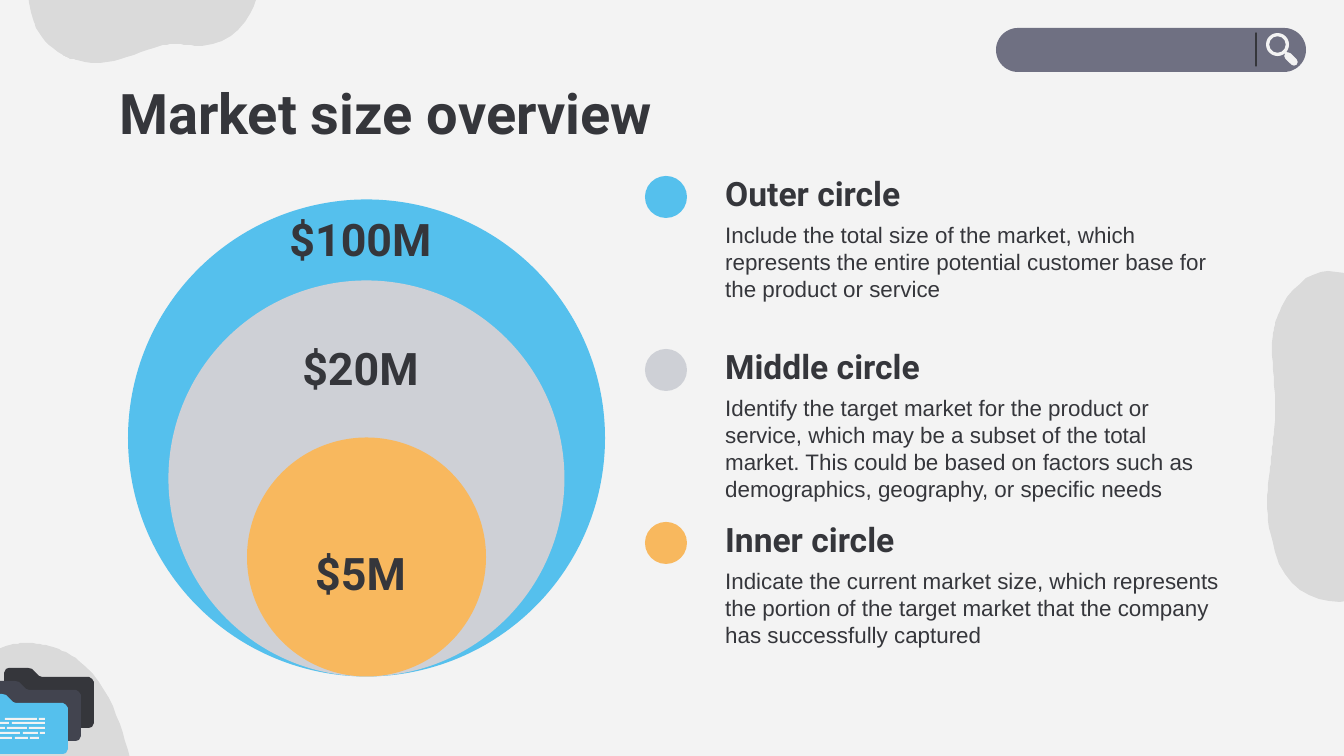
import pptx
import pptx.util
import pptx.dml.color
import pptx.enum.shapes
import pptx.enum.text
import pptx.oxml.ns
import lxml.etree

PX = 9144000 / 1344  # EMU per px
SHAPE = pptx.enum.shapes.MSO_SHAPE
ALIGN = pptx.enum.text.PP_ALIGN
ANCHOR = pptx.enum.text.MSO_ANCHOR
COLOURS = {
    "background": "F3F3F3", "ink": "35363B", "slate": "42444F", "bar": "6F7082",
    "blue": "55C0ED", "grey": "CED0D6", "orange": "F8B85E", "shade": "000000",
}
RGB = {name: pptx.dml.color.RGBColor.from_string(code) for name, code in COLOURS.items()}

deck = pptx.Presentation()
deck.slide_width, deck.slide_height = round(1344 * PX), round(756 * PX)
slide = deck.slides.add_slide(deck.slide_layouts[6])
slide.background.fill.solid()
slide.background.fill.fore_color.rgb = RGB["background"]
shapes = slide.shapes


def paint(shape, colour):
    shape.shadow.inherit = False
    shape.fill.solid()
    shape.fill.fore_color.rgb = RGB[colour]
    shape.line.fill.background()
    return shape


def add_text(words, left, top, width, height, size, font="Roboto",
             align=ALIGN.LEFT, anchor=ANCHOR.TOP):
    frame = shapes.add_textbox(*(round(v * PX) for v in (left, top, width, height))).text_frame
    frame.word_wrap = True
    frame.vertical_anchor = anchor
    frame.margin_left = frame.margin_right = pptx.util.Inches(0.1)
    frame.margin_top = frame.margin_bottom = pptx.util.Inches(0.1)
    frame.text = words
    paragraph = frame.paragraphs[0]
    paragraph.alignment = align
    letters = paragraph.runs[0].font
    letters.name, letters.size = font, pptx.util.Pt(size)
    letters.bold = font == "Roboto"
    letters.color.rgb = RGB["ink"]


# Translucent corner blobs: a start point, then Bezier segments of three points
blobs = [
    [(63, 55), (67, 58), (71, 59), (77, 60), (109, 70), (134, 52), (160, 46),
     (173, 42), (188, 46), (202, 46), (246, 43), (269, -7), (255, -39),
     (249, -56), (237, -70), (219, -79), (207, -86), (194, -90), (177, -94),
     (136, -103), (108, -110), (67, -90), (26, -70), (22, -17), (34, 22),
     (34, 22), (40, 43), (63, 55)],
    [(40, 644), (52, 646), (66, 650), (79, 661), (110, 685), (121, 726), (130, 758),
     (140, 792), (126, 820), (99, 831), (93, 833), (86, 833), (81, 833),
     (63, 831), (48, 816), (23, 810), (15, 809), (7, 808), (-1, 806),
     (-19, 804), (-30, 801), (-48, 784), (-75, 759), (-73, 711), (-44, 680),
     (-16, 648), (15, 644), (15, 644), (15, 644), (26, 642), (40, 644)],
    [(1452, 469), (1454, 449), (1454, 426), (1448, 402), (1434, 345), (1396, 314), (1367, 288),
     (1337, 259), (1302, 269), (1282, 306), (1277, 315), (1274, 325), (1273, 335),
     (1270, 362), (1278, 390), (1274, 431), (1273, 444), (1271, 457), (1270, 470),
     (1266, 499), (1265, 516), (1275, 552), (1290, 602), (1341, 617), (1384, 585),
     (1427, 552), (1442, 508), (1442, 508), (1442, 508), (1447, 492), (1452, 469)],
]
STEPS = 12
for blob in blobs:
    outline = []
    for i in range(0, len(blob) - 1, 3):
        for step in range(1, STEPS + 1):
            t = step / STEPS
            weights = ((1 - t) ** 3, 3 * t * (1 - t) ** 2, 3 * t * t * (1 - t), t ** 3)
            outline.append([sum(w * point[axis] for w, point in zip(weights, blob[i:i + 4]))
                            for axis in (0, 1)])
    builder = shapes.build_freeform(*blob[0], scale=PX)
    builder.add_line_segments(outline)
    shade = paint(builder.convert_to_shape(), "shade")
    tint = shade.fill._xPr.find(".//" + pptx.oxml.ns.qn("a:srgbClr"))
    lxml.etree.SubElement(tint, pptx.oxml.ns.qn("a:alpha"), val="10000")

# Search bar with lens
for kind, left, top, width, height, roundness, colour in [
    (SHAPE.ROUNDED_RECTANGLE, 996, 28, 310, 44, 0.5, "bar"),
    (SHAPE.DONUT, 1266, 33, 23, 23, 0.14, "background"),
]:
    part = shapes.add_shape(kind, *(round(v * PX) for v in (left, top, width, height)))
    part.adjustments[0] = roundness
    paint(part, colour)

# Divider, lens neck and lens handle
for x1, y1, x2, y2, weight, colour in [
    (1256, 33, 1256, 66, 0.75, "ink"),
    (1285, 52, 1289, 56, 1.5, "background"),
    (1288, 56, 1294, 62, 4, "background"),
]:
    stroke = shapes.add_connector(pptx.enum.shapes.MSO_CONNECTOR.STRAIGHT,
                                  *(round(v * PX) for v in (x1, y1, x2, y2)))
    stroke.line.color.rgb = RGB[colour]
    stroke.line.width = pptx.util.Pt(weight)
    stroke.line._get_or_add_ln().set("cap", "rnd")
    lxml.etree.SubElement(stroke._element.spPr, pptx.oxml.ns.qn("a:effectLst"))

# Stack of folders, each shifted down and left
folder = [(32, 669), (39, 676), (42, 677), (89, 677), (92, 679), (94, 682), (94, 723),
          (92, 727), (89, 728), (9, 728), (6, 727), (4, 723), (4, 673), (6, 669),
          (9, 668), (28, 668)]
for i, colour in enumerate(["ink", "slate", "blue"]):
    corners = [(x - 13 * i, y + 13 * i) for x, y in folder]
    builder = shapes.build_freeform(*corners[0], scale=PX)
    builder.add_line_segments(corners[1:])
    paint(builder.convert_to_shape(), colour)

# Lines of writing on the front folder, as one outline
writing = [
    [(5, 37), (39, 45)],
    [(0, 9), (12, 45)],
    [(0, 5), (7, 27), (29, 45)],
    [(0, 20), (23, 38), (40, 45)],
    [(0, 12), (15, 28), (30, 39)],
]
builder = shapes.build_freeform(5, 718, scale=PX)
for row, dashes in enumerate(writing):
    top = 718 + row * 19 // 4
    for start, end in dashes:
        builder.move_to(start, top)
        builder.add_line_segments([(end, top), (end, top + 2), (start, top + 2)])
paint(builder.convert_to_shape(), "background")

# Title
add_text("Market size overview", 106, 65, 1133, 85, 30)

# Nested circles standing on one base, with their legend
markets = [
    ("blue", 477, "$100M", 198, "Outer circle",
     "Include the total size of the market, which represents the entire potential "
     "customer base for the product or service"),
    ("grey", 396, "$20M", 327, "Middle circle",
     "Identify the target market for the product or service, which may be a subset of the "
     "total market. This could be based on factors such as demographics, geography, "
     "or specific needs"),
    ("orange", 239, "$5M", 532, "Inner circle",
     "Indicate the current market size, which represents the portion of the target market "
     "that the company has successfully captured"),
]
CENTRE, BASE, PITCH = 366.5, 676.5, 173
for row, (colour, size, value, value_top, heading, detail) in enumerate(markets):
    drop = row * PITCH
    for left, top, across in [(CENTRE - size / 2, BASE - size, size), (645, 176 + drop, 42)]:
        box = (left, top, across, across)
        paint(shapes.add_shape(SHAPE.OVAL, *(round(v * PX) for v in box)), colour)
    add_text(heading, 712, 165 + drop, 527, 62, 18, anchor=ANCHOR.BOTTOM)
    add_text(detail, 712, 208 + drop, 527, 124, 12, font="Arial")
for colour, size, value, value_top, heading, detail in markets:
    add_text(value, 267, value_top, 187, 82, 24, align=ALIGN.CENTER)

deck.save("out.pptx")
